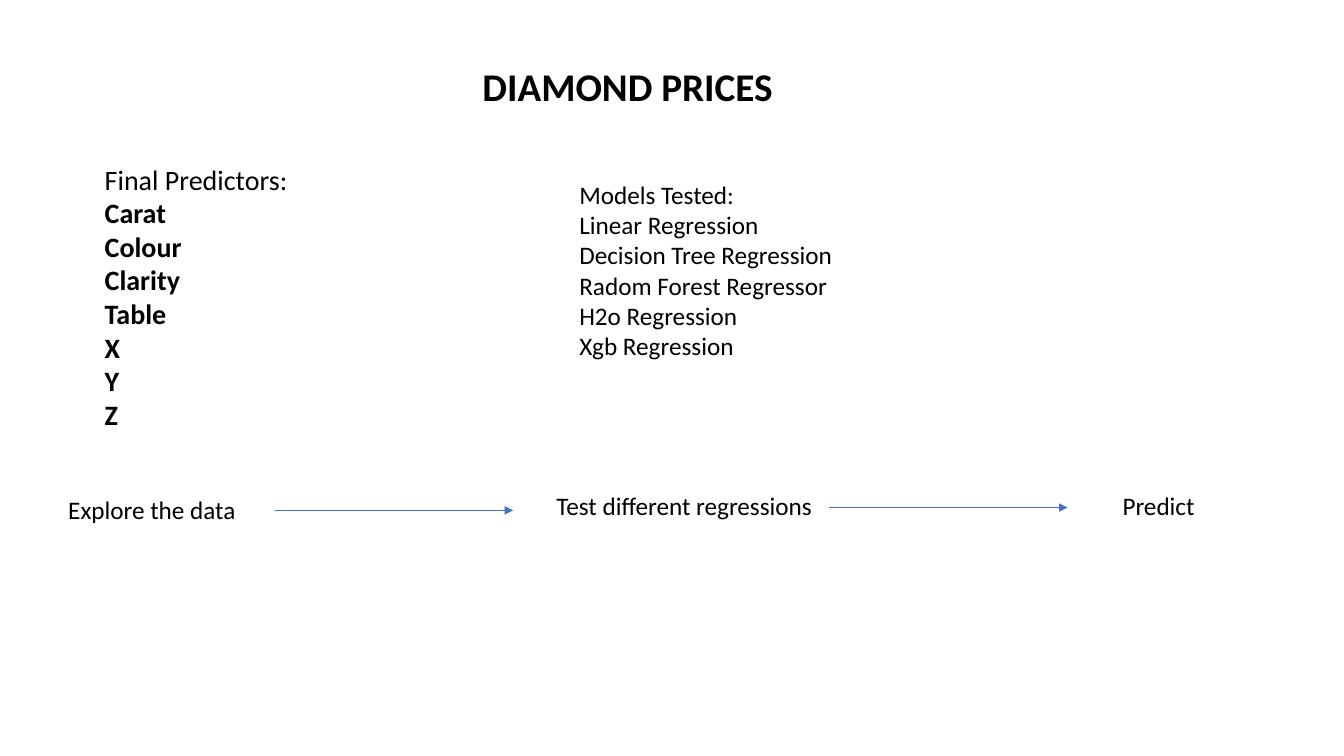
from dataclasses import dataclass

from lxml import etree
from pptx import Presentation
from pptx.dml.color import RGBColor
from pptx.enum.shapes import MSO_CONNECTOR
from pptx.enum.text import MSO_AUTO_SIZE
from pptx.oxml.ns import qn
from pptx.slide import Slide
from pptx.util import Cm, Pt

STRAIGHT = MSO_CONNECTOR.STRAIGHT
FIT_SHAPE = MSO_AUTO_SIZE.SHAPE_TO_FIT_TEXT
FONT = "Calibri"
BLACK = "000000"
BLUE = "4472C4"
ARROW_LENGTH = 6


@dataclass(frozen=True)
class TextBlock:
    left: float
    top: float
    width: float
    height: float
    lines: tuple[str, ...]
    size: int = 18
    bold_from: int | None = None


@dataclass(frozen=True)
class Arrow:
    left: float
    top: float


TEXT_BLOCKS = (
    TextBlock(2.39, 3.96, 6.25, 7.87,
              ("Final Predictors:", "Carat", "Colour", "Clarity", "Table", "X", "Y", "Z"),
              size=20, bold_from=1),
    TextBlock(11.91, 1.45, 7.9, 1.45, ("DIAMOND PRICES",), size=28, bold_from=0),
    TextBlock(14.35, 4.39, 7.14, 5.64,
              ("Models Tested:", "Linear Regression", "Decision Tree Regression",
               "Radom Forest Regressor", "H2o Regression", "Xgb Regression")),
    TextBlock(1.47, 12.34, 4.8, 1.03, ("Explore the data",)),
    TextBlock(13.77, 12.22, 7.14, 1.03, ("Test different regressions",)),
    TextBlock(28.04, 12.22, 2.51, 1.03, ("Predict",)),
)
ARROWS = (Arrow(6.93, 12.86), Arrow(20.9, 12.79))


def color(value: str) -> RGBColor:
    return RGBColor.from_string(value)


def draw_text(slide: Slide, block: TextBlock) -> None:
    shape = slide.shapes.add_textbox(
        Cm(block.left), Cm(block.top), Cm(block.width), Cm(block.height))
    text_frame = shape.text_frame
    text_frame.word_wrap = True
    text_frame.auto_size = FIT_SHAPE
    text_frame.text = "\n".join(block.lines)
    for index, paragraph in enumerate(text_frame.paragraphs):
        for run in paragraph.runs:
            run.font.name = FONT
            run.font.size = Pt(block.size)
            run.font.bold = block.bold_from is not None and index >= block.bold_from
            run.font.color.rgb = color(BLACK)


def draw_arrow(slide: Slide, arrow: Arrow) -> None:
    connector = slide.shapes.add_connector(
        STRAIGHT, Cm(arrow.left), Cm(arrow.top),
        Cm(arrow.left + ARROW_LENGTH), Cm(arrow.top))
    connector.line.color.rgb = color(BLUE)
    connector.line.width = Pt(0.5)
    properties = connector.element.spPr
    line = properties.find(qn("a:ln"))
    etree.SubElement(line, qn("a:tailEnd"), type="triangle")
    etree.SubElement(properties, qn("a:effectLst"))


def main() -> None:
    presentation = Presentation()
    presentation.slide_width = Cm(33.87)
    presentation.slide_height = Cm(19.05)
    slide = presentation.slides.add_slide(presentation.slide_layouts[6])
    for block in TEXT_BLOCKS:
        draw_text(slide, block)
    for arrow in ARROWS:
        draw_arrow(slide, arrow)
    presentation.save("out.pptx")


main()
